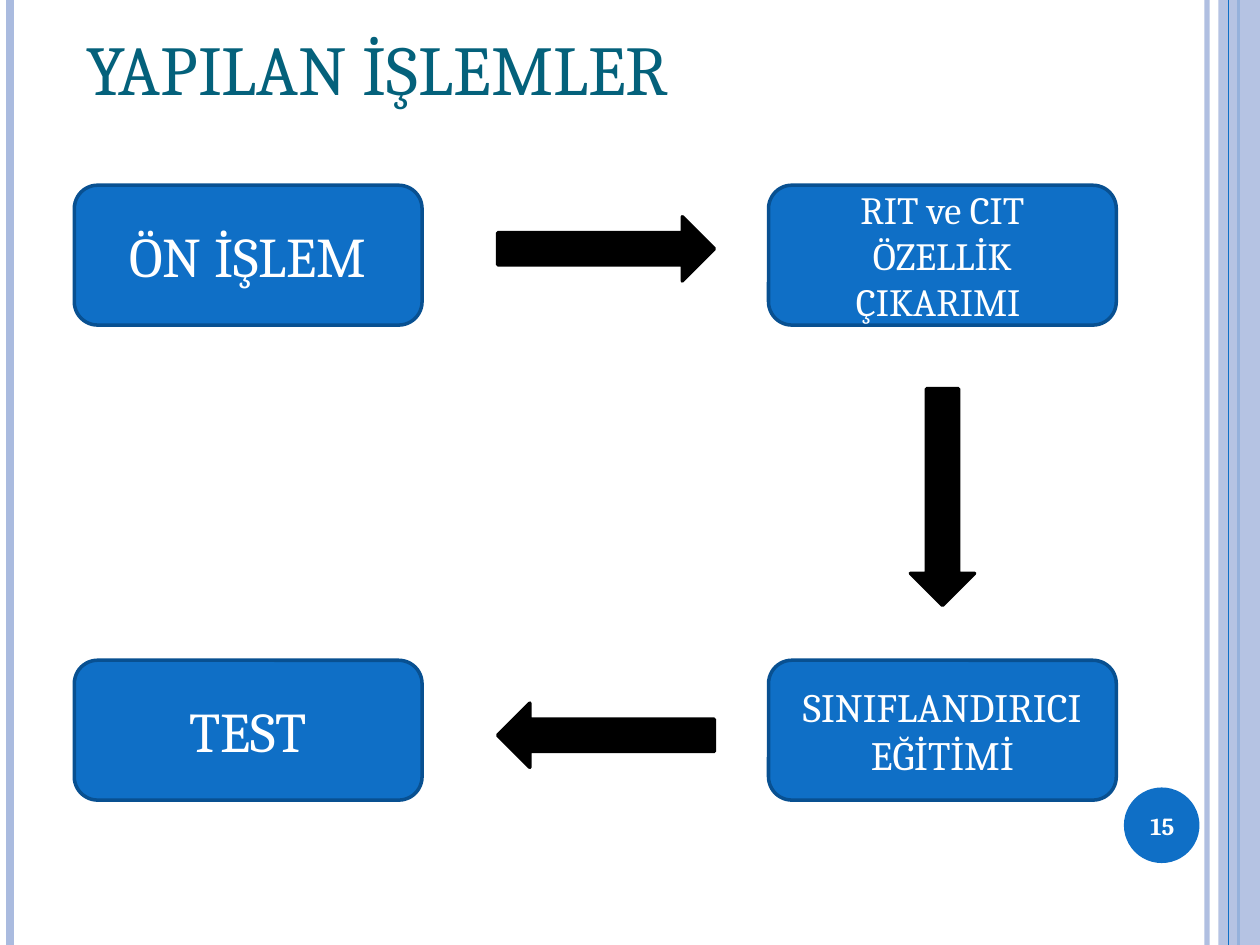
from lxml.etree import SubElement
from pptx import Presentation
from pptx.dml.color import RGBColor
from pptx.enum.shapes import MSO_CONNECTOR, MSO_SHAPE
from pptx.enum.text import MSO_ANCHOR, MSO_AUTO_SIZE, PP_ALIGN
from pptx.oxml.ns import qn
from pptx.util import Inches, Pt

COLS, ROWS = 10, 7.5
COLORS = {"blue": "0F6FC6", "edge": "085091", "pale": "AABBDF",
          "title": "04617B", "black": "000000", "white": "FFFFFF"}


class Deck:
    """Holds the style and the current slide; lengths are grid columns and rows."""
    font = "Cambria"

    def __init__(self):
        self.prs = Presentation()
        self.prs.slide_width, self.prs.slide_height = Inches(COLS), Inches(ROWS)
        self.s = self.prs.slides.add_slide(self.prs.slide_layouts[5])

    def area(self, x, y, w, h):
        cw, rh = self.prs.slide_width / COLS, self.prs.slide_height / ROWS
        return [int(v) for v in (x * cw, y * rh, w * cw, h * rh)]

    def paint(self, fmt, color, alpha=None):
        """Set a solid colour on a fill, with an optional opacity in percent."""
        fmt.solid()
        fmt.fore_color.rgb = RGBColor.from_string(COLORS[color])
        if alpha:
            clr = fmt._xPr.find(qn("a:solidFill"))[0]
            SubElement(clr, qn("a:alpha"), val=str(alpha * 1000))

    def set_text(self, sp, text, size, color="white", align=PP_ALIGN.CENTER,
                 anchor=MSO_ANCHOR.MIDDLE, bold=False):
        tf = sp.text_frame
        tf.word_wrap = True
        tf.auto_size = MSO_AUTO_SIZE.NONE
        tf.vertical_anchor = anchor
        tf.text = text
        for p in tf.paragraphs:
            p.alignment = align
            for r in p.runs:
                r.font.name, r.font.size, r.font.bold = self.font, Pt(size), bold
                r.font.color.rgb = RGBColor.from_string(COLORS[color])

    def title(self, text, *area):
        sp = self.s.shapes.title
        sp.left, sp.top, sp.width, sp.height = self.area(*area)
        self.set_text(sp, text, 40, "title", PP_ALIGN.LEFT, MSO_ANCHOR.BOTTOM)

    def label(self, text, size, *area):
        sp = self.s.shapes.add_textbox(*self.area(*area))
        self.set_text(sp, text, size, bold=True)

    def shape(self, kind, fill, *area, edge=None, alpha=None):
        sp = self.s.shapes.add_shape(kind, *self.area(*area))
        sp.shadow.inherit = False
        self.paint(sp.fill, fill, alpha)
        if edge:
            self.paint(sp.line.fill, edge)
            sp.line.width = Pt(2)
        else:
            sp.line.fill.background()
        return sp

    def rule(self, x, color, width, alpha=None):
        """Draw a vertical line over the full slide height."""
        x, top, _, bottom = self.area(x, 0, 0, ROWS)
        ln = self.s.shapes.add_connector(MSO_CONNECTOR.STRAIGHT, x, top, x, bottom)
        self.paint(ln.line.fill, color, alpha)
        ln.line.width = Pt(width)
        SubElement(ln._element.spPr, qn("a:effectLst"))

    def step(self, text, size, x, y):
        sp = self.shape(MSO_SHAPE.ROUNDED_RECTANGLE, "blue", x, y, 2.76, 1.11,
                        edge="edge")
        self.set_text(sp, text, size)

    def arrow(self, x, y, turn):
        sp = self.shape(MSO_SHAPE.RIGHT_ARROW, "black", x, y, 1.72, 0.51,
                        edge="black")
        sp.rotation = turn


def main():
    d = Deck()
    d.rule(9.58, "pale", 3, 93)
    d.rule(0.08, "pale", 4.5)
    d.rule(9.83, "blue", 1.5)
    d.shape(MSO_SHAPE.RECTANGLE, "pale", 9.67, 0, 0.33, ROWS, alpha=87)
    d.rule(9.75, "blue", 0.75)
    d.shape(MSO_SHAPE.OVAL, "blue", 8.92, 6.25, 0.6, 0.6)
    d.title("YAPILAN İŞLEMLER", 0.59, 0.28, 8.17, 0.64)
    d.label("15", 14, 8.89, 6.27, 0.67, 0.57)

    left, right, top, bottom = 0.59, 6.1, 1.47, 5.24
    d.step("ÖN İŞLEM", 32, left, top)
    d.step("RIT ve CIT\nÖZELLİK ÇIKARIMI ", 22, right, top)
    d.step("SINIFLANDIRICI EĞİTİMİ", 23, right, bottom)
    d.step("TEST", 32, left, bottom)
    for x, y, turn in ((3.95, 1.72, 0), (6.62, 3.69, 90), (3.95, 5.58, 180)):
        d.arrow(x, y, turn)
    d.prs.save("out.pptx")


if __name__ == "__main__":
    main()
